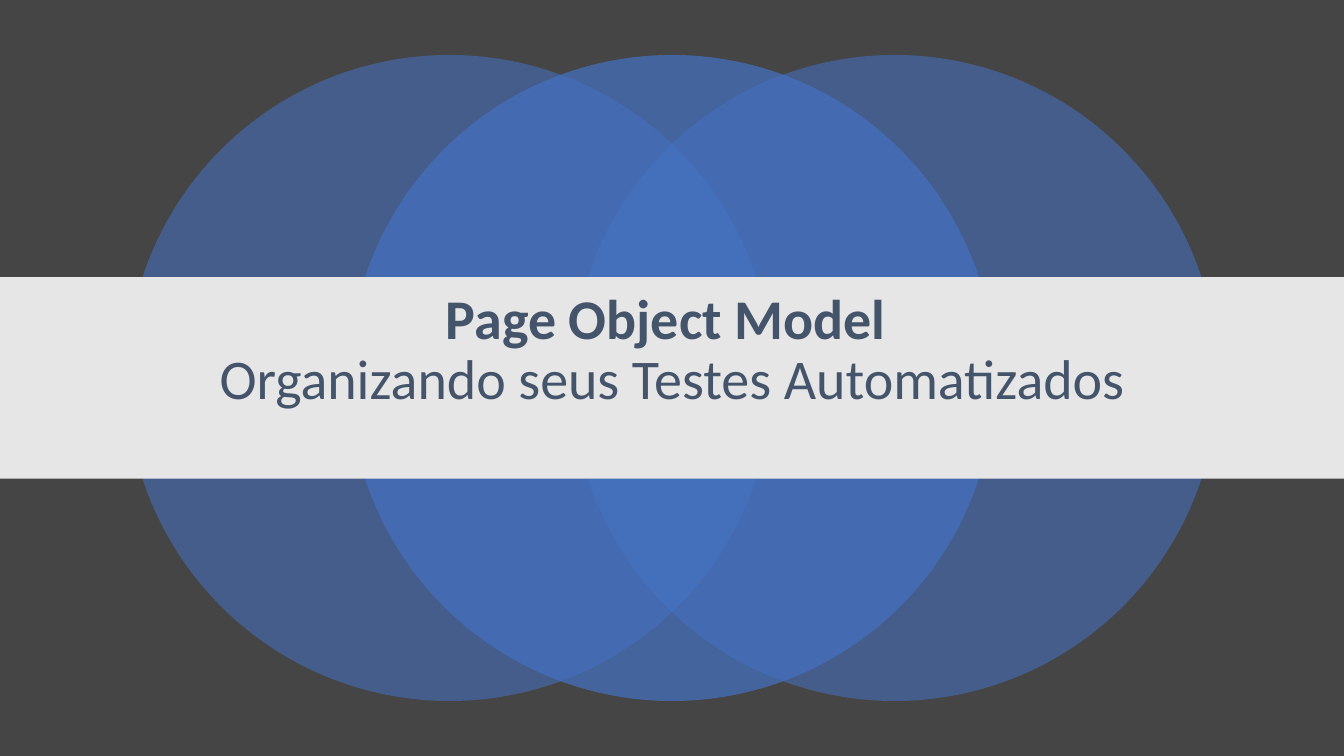
from lxml import etree
from pptx import Presentation
from pptx.dml.color import RGBColor
from pptx.enum.shapes import MSO_SHAPE
from pptx.enum.text import MSO_ANCHOR, PP_ALIGN
from pptx.oxml.ns import qn
from pptx.util import Cm, Pt

OVAL, RECT = MSO_SHAPE.OVAL, MSO_SHAPE.RECTANGLE
MIDDLE, CENTER = MSO_ANCHOR.MIDDLE, PP_ALIGN.CENTER

COLORS = {"background": "454545", "circle": "4472C4", "band": "E7E6E6", "title": "44546A"}
FONT = "Calibri"
SLIDE_W, SLIDE_H = 33.87, 19.05


def rgb(name):
    return RGBColor.from_string(COLORS[name])


def add_filled(shapes, kind, box, color, opacity=100):
    sp = shapes.add_shape(kind, *(Cm(v) for v in box))
    sp.shadow.inherit = False
    sp.line.fill.background()
    sp.fill.solid()
    sp.fill.fore_color.rgb = rgb(color)
    if opacity < 100:
        clr = sp.fill._xPr.find(".//" + qn("a:srgbClr"))
        etree.SubElement(clr, qn("a:alpha"), val=str(opacity * 1000))
    return sp


def add_circles(s, box, diameter=16.28, step=5.61):
    """Three overlapping circles centred in the box, the middle one in front."""
    x, y, w, h = box
    left, top = x + (w - diameter) / 2, y + (h - diameter) / 2
    group = s.shapes.add_group_shape()
    for offset, opacity in ((-1, 55), (1, 55), (0, 70)):
        circle = (left + offset * step, top, diameter, diameter)
        add_filled(group.shapes, OVAL, circle, "circle", opacity)


def add_title_band(s, box):
    """Full-width band with the two-line title in its upper part."""
    x, y, w, h = box
    add_filled(s.shapes, RECT, box, "band")

    # Title
    title_w, title_h = 25.4, 3.35
    tb = s.shapes.add_textbox(Cm(x + (w - title_w) / 2), Cm(y + 0.2), Cm(title_w), Cm(title_h))
    tf = tb.text_frame
    tf.word_wrap = True
    tf.vertical_anchor = MIDDLE
    p = tf.paragraphs[0]
    p.alignment = CENTER
    p.line_spacing = 0.9
    for text, bold in (("Page Object Model ", True), ("Organizando seus Testes Automatizados", False)):
        if p.runs:
            p.add_line_break()
        r = p.add_run()
        r.text = text
        r.font.name = FONT
        r.font.size = Pt(40)
        r.font.bold = bold
        r.font.color.rgb = rgb("title")


prs = Presentation()
prs.slide_width, prs.slide_height = Cm(SLIDE_W), Cm(SLIDE_H)
s = prs.slides.add_slide(prs.slide_layouts[6])
s.background.fill.solid()
s.background.fill.fore_color.rgb = rgb("background")

band_h = 5.08
add_circles(s, (0, 0, SLIDE_W, SLIDE_H))
add_title_band(s, (0, (SLIDE_H - band_h) / 2, SLIDE_W, band_h))

prs.save("out.pptx")
